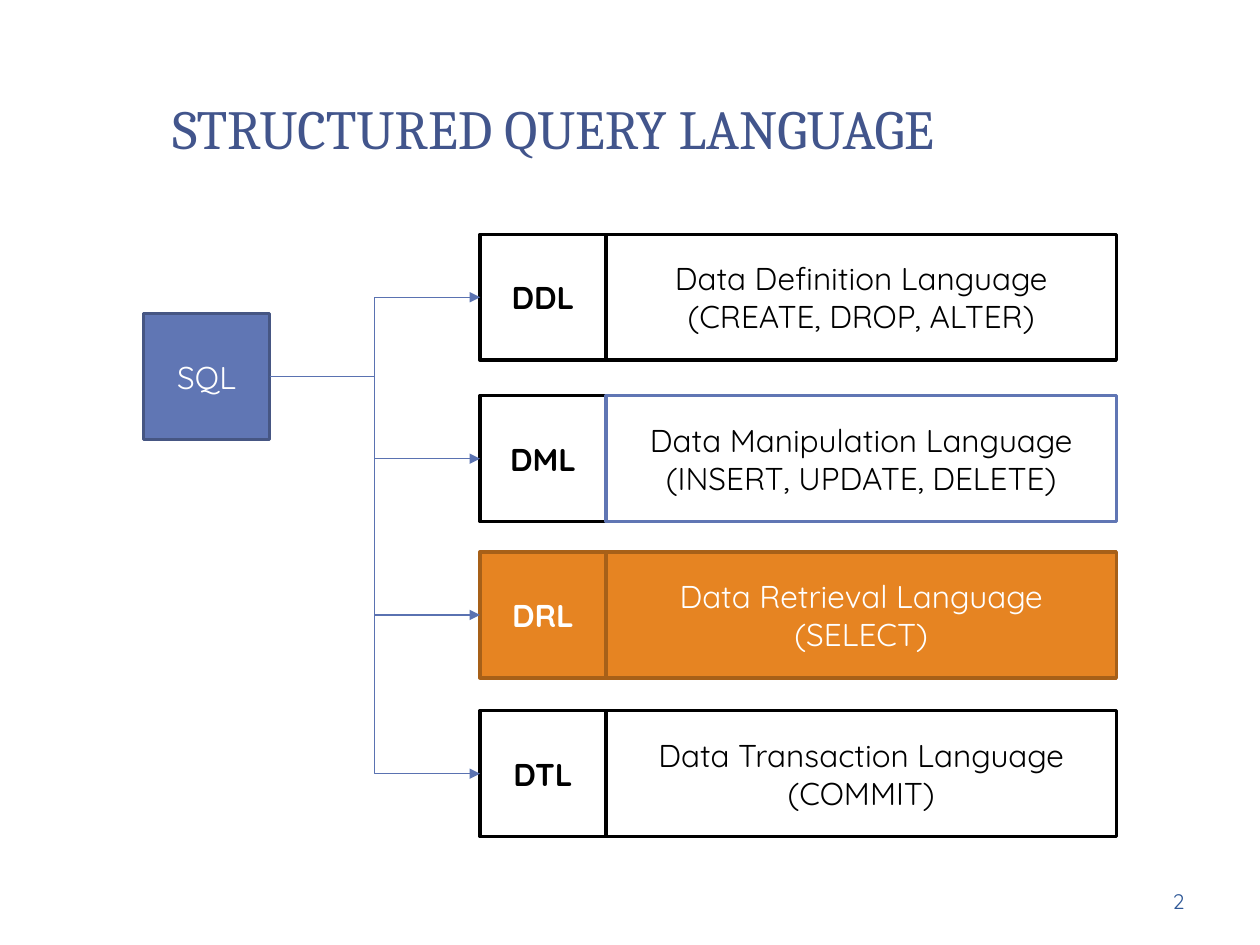
from lxml import etree
from pptx import Presentation
from pptx.dml.color import RGBColor
from pptx.enum.shapes import MSO_CONNECTOR, MSO_SHAPE
from pptx.enum.text import MSO_ANCHOR, MSO_AUTO_SIZE, PP_ALIGN
from pptx.oxml.ns import qn
from pptx.util import Inches, Pt

RECT = MSO_SHAPE.RECTANGLE
ELBOW = MSO_CONNECTOR.ELBOW
MIDDLE = MSO_ANCHOR.MIDDLE
CENTER, RIGHT = PP_ALIGN.CENTER, PP_ALIGN.RIGHT
FIXED = MSO_AUTO_SIZE.NONE
LEFT_SITE, RIGHT_SITE = 1, 3

TITLE = "STRUCTURED QUERY LANGUAGE"
PAGE = "2"
ROOT = "SQL"
PLAIN = {"fill": "FFFFFF", "line": "000000", "color": "000000"}
BLUE = {"fill": "FFFFFF", "line": "6076B4", "color": "000000"}
ORANGE = {"fill": "E68422", "line": "A76018", "color": "FFFFFF"}
SOLID = {"fill": "6076B4", "line": "465683", "color": "FFFFFF"}
ROWS = [
    (1.86, "DDL", ["Data Definition Language", "(CREATE, DROP, ALTER)"], PLAIN, PLAIN),
    (3.14, "DML", ["Data Manipulation Language", "(INSERT, UPDATE, DELETE)"], PLAIN, BLUE),
    (4.38, "DRL", ["Data Retrieval Language", "(SELECT)"], ORANGE, ORANGE),
    (5.64, "DTL", ["Data Transaction Language", "(COMMIT)"], PLAIN, PLAIN),
]
SIDE = 1
WIDE = 4.05
CODE_X = 3.81
ROOT_X, ROOT_Y = 1.14, 2.49


def rgb(code):
    return RGBColor.from_string(code)


def area(x, y, w, h):
    return [Inches(n) for n in (x, y, w, h)]


def write(shape, lines, size=18, font="Quicksand", color="000000", bold=False, align=CENTER):
    frame = shape.text_frame
    frame.word_wrap = True
    frame.auto_size = FIXED
    frame.vertical_anchor = MIDDLE
    frame.text = "\n".join(lines)
    for para in frame.paragraphs:
        para.alignment = align
        for run in para.runs:
            run.font.size = Pt(size)
            run.font.name = font
            run.font.bold = bold
            run.font.color.rgb = rgb(color)


def box(shapes, place, lines, fill, line, color, bold=False):
    shape = shapes.add_shape(RECT, *area(*place))
    shape.shadow.inherit = False
    shape.fill.solid()
    shape.fill.fore_color.rgb = rgb(fill)
    shape.line.color.rgb = rgb(line)
    shape.line.width = Pt(2)
    write(shape, lines, color=color, bold=bold)
    return shape


def link(shapes, start, end):
    wire = shapes.add_connector(ELBOW, 0, 0, 0, 0)
    wire.begin_connect(start, RIGHT_SITE)
    wire.end_connect(end, LEFT_SITE)
    wire.line.color.rgb = rgb("5A72B1")
    wire.line.width = Pt(0.75)
    etree.SubElement(wire.line._get_or_add_ln(), qn("a:tailEnd"), type="triangle")
    etree.SubElement(wire._element.spPr, qn("a:effectLst"))


def main():
    deck = Presentation()
    deck.slide_width, deck.slide_height = Inches(10), Inches(7.5)
    slide = deck.slides.add_slide(deck.slide_layouts[5])
    shapes = slide.shapes

    title = shapes.title
    title.left, title.top, title.width, title.height = area(0.47, 0.45, 7.84, 1.13)
    write(title, [TITLE], size=31.5, font="Cambria", color="42558C")

    page = shapes.add_textbox(*area(7.17, 6.95, 2.33, 0.4))
    write(page, [PAGE], size=12, color="2F5897", align=RIGHT)

    root = box(shapes, (ROOT_X, ROOT_Y, SIDE, SIDE), [ROOT], **SOLID)
    codes = []
    for y, code, lines, left, right in ROWS:
        group = shapes.add_group_shape().shapes
        codes.append(box(group, (CODE_X, y, SIDE, SIDE), [code], bold=True, **left))
        box(group, (CODE_X + SIDE, y, WIDE, SIDE), lines, **right)
    for code in codes:
        link(shapes, root, code)

    deck.save("out.pptx")


if __name__ == "__main__":
    main()
